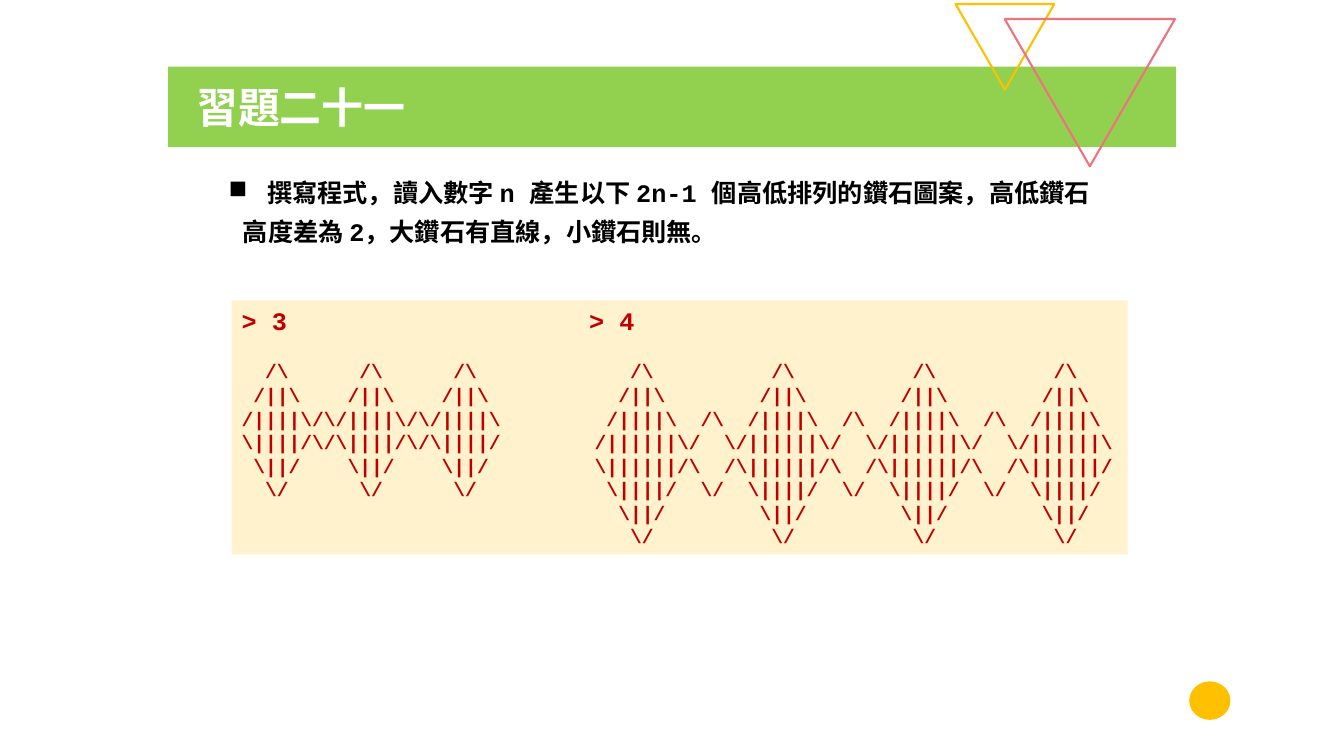
from dataclasses import dataclass

from pptx import Presentation
from pptx.dml.color import RGBColor
from pptx.enum.shapes import MSO_SHAPE
from pptx.enum.text import MSO_ANCHOR, MSO_AUTO_SIZE, PP_ALIGN
from pptx.oxml.ns import qn
from pptx.util import Cm, Pt
from lxml.etree import SubElement


@dataclass(frozen=True)
class Theme:
    green: str = "92D050"
    gold: str = "FFC000"
    pink: str = "EC747D"
    cream: str = "FFF2CC"
    red: str = "C00000"
    black: str = "000000"
    white: str = "FFFFFF"
    title_size: int = 30
    body_size: int = 18
    art_size: int = 14
    outline: float = 1.5
    code_font: str = "Courier New"
    chinese_font: str = "Noto Sans CJK SC"


THEME = Theme()


def apply(target, **values):
    for name, value in values.items():
        setattr(target, name, value)


def add_span(para, text, size, color, font=THEME.code_font):
    span = para.add_run()
    span.text = text
    apply(span.font, name=font, size=Pt(size), bold=True)
    span.font.color.rgb = RGBColor.from_string(color)
    east_asian = SubElement(span.font._element, qn("a:ea"))
    east_asian.set("typeface", THEME.chinese_font)


def add_para(frame, text, size, color, first=False, before=0):
    para = frame.paragraphs[0] if first else frame.add_paragraph()
    apply(para, alignment=PP_ALIGN.LEFT, space_before=Pt(before))
    add_span(para, text, size, color)
    return para


def add_shape(page, kind, bounds, fill=None, line=None, rotation=0):
    shape = page.shapes.add_shape(kind, *map(Cm, bounds))
    apply(shape, rotation=rotation)
    shape.shadow.inherit = False
    if fill:
        shape.fill.solid()
        shape.fill.fore_color.rgb = RGBColor.from_string(fill)
    else:
        shape.fill.background()
    if line:
        shape.line.color.rgb = RGBColor.from_string(line)
        shape.line.width = Pt(THEME.outline)
    else:
        shape.line.fill.background()
    return shape


def add_title(page, text):
    title = page.shapes.title
    bounds = map(Cm, (4.24, 1.68, 25.4, 2.03))
    apply(title, **dict(zip(("left", "top", "width", "height"), bounds)))
    title.fill.solid()
    title.fill.fore_color.rgb = RGBColor.from_string(THEME.green)
    frame = title.text_frame
    apply(frame, vertical_anchor=MSO_ANCHOR.MIDDLE, margin_left=Cm(0.7),
          auto_size=MSO_AUTO_SIZE.NONE)
    para = frame.paragraphs[0]
    para.alignment = PP_ALIGN.LEFT
    add_span(para, text, THEME.title_size, THEME.white, THEME.chinese_font)


def set_indent(para, margin, indent=0):
    properties = para._p.get_or_add_pPr()
    properties.set("marL", str(Cm(margin)))
    properties.set("indent", str(Cm(indent)))
    return properties


def add_question(page, first_line, second_line):
    box = page.shapes.add_textbox(*map(Cm, (5.51, 4.34, 22.99, 2.01)))
    frame = box.text_frame
    apply(frame, word_wrap=False, auto_size=MSO_AUTO_SIZE.SHAPE_TO_FIT_TEXT)
    para = add_para(frame, first_line, THEME.body_size, THEME.black, first=True)
    bullet = SubElement(set_indent(para, 0.97, -0.97), qn("a:buChar"))
    bullet.set("char", "■")
    para = add_para(frame, second_line, THEME.body_size, THEME.black, before=6)
    set_indent(para, 0.36)


def diamond_rows(n):
    """Rows of n large filled diamonds with n - 1 small hollow ones between."""
    small = n - 2
    period = 2 * (n + small)
    grid = [[" "] * (n * period) for _ in range(2 * n)]

    def draw(center, half, inside):
        for step in range(half):
            for row, left, right in ((n - half + step, "/", "\\"),
                                     (n + half - 1 - step, "\\", "/")):
                outline = left + inside * (2 * step) + right
                start = center - step - 1
                grid[row][start:start + len(outline)] = outline

    for index in range(n):
        draw(n + index * period, n, "|")
        if index < n - 1:
            draw(2 * n + small + index * period, small, " ")
    return ["".join(row).rstrip() for row in grid]


def add_sample(page, left_n, right_n, right_column=30):
    box = add_shape(page, MSO_SHAPE.RECTANGLE, (5.84, 7.57, 22.58, 6.4), THEME.cream)
    frame = box.text_frame
    apply(frame, word_wrap=False, vertical_anchor=MSO_ANCHOR.TOP,
          auto_size=MSO_AUTO_SIZE.SHAPE_TO_FIT_TEXT)

    # Two prompts, the second at a tab stop
    prompts = add_para(frame, f"> {left_n}\t> {right_n}", THEME.body_size,
                       THEME.red, first=True)
    stops = SubElement(prompts._p.get_or_add_pPr(), qn("a:tabLst"))
    stop = SubElement(stops, qn("a:tab"))
    stop.set("pos", str(Cm(8.76)))
    stop.set("algn", "l")

    # Both patterns side by side
    left_rows, right_rows = diamond_rows(left_n), diamond_rows(right_n)
    left_rows += [""] * (len(right_rows) - len(left_rows))
    for index, (left, right) in enumerate(zip(left_rows, right_rows)):
        add_para(frame, left.ljust(right_column) + right, THEME.art_size,
                 THEME.red, before=0 if index else 17)


def main():
    deck = Presentation()
    apply(deck, slide_width=Cm(33.87), slide_height=Cm(19.05))
    page = deck.slides.add_slide(deck.slide_layouts.get_by_name("Title Only"))

    # Title band and decoration
    add_title(page, "習題二十一")
    for bounds, color in (((24.08, 0.1, 2.49, 2.16), THEME.gold),
                          ((25.32, 0.48, 4.29, 3.71), THEME.pink)):
        add_shape(page, MSO_SHAPE.ISOSCELES_TRIANGLE, bounds, line=color, rotation=180)
    add_shape(page, MSO_SHAPE.OVAL, (29.97, 17.17, 1.04, 0.97), THEME.gold)

    # Exercise and sample output
    add_question(page,
                 "撰寫程式，讀入數字 n 產生以下 2n-1 個高低排列的鑽石圖案，高低鑽石",
                 "高度差為 2，大鑽石有直線，小鑽石則無。")
    add_sample(page, 3, 4)

    deck.save("out.pptx")


if __name__ == "__main__":
    main()
